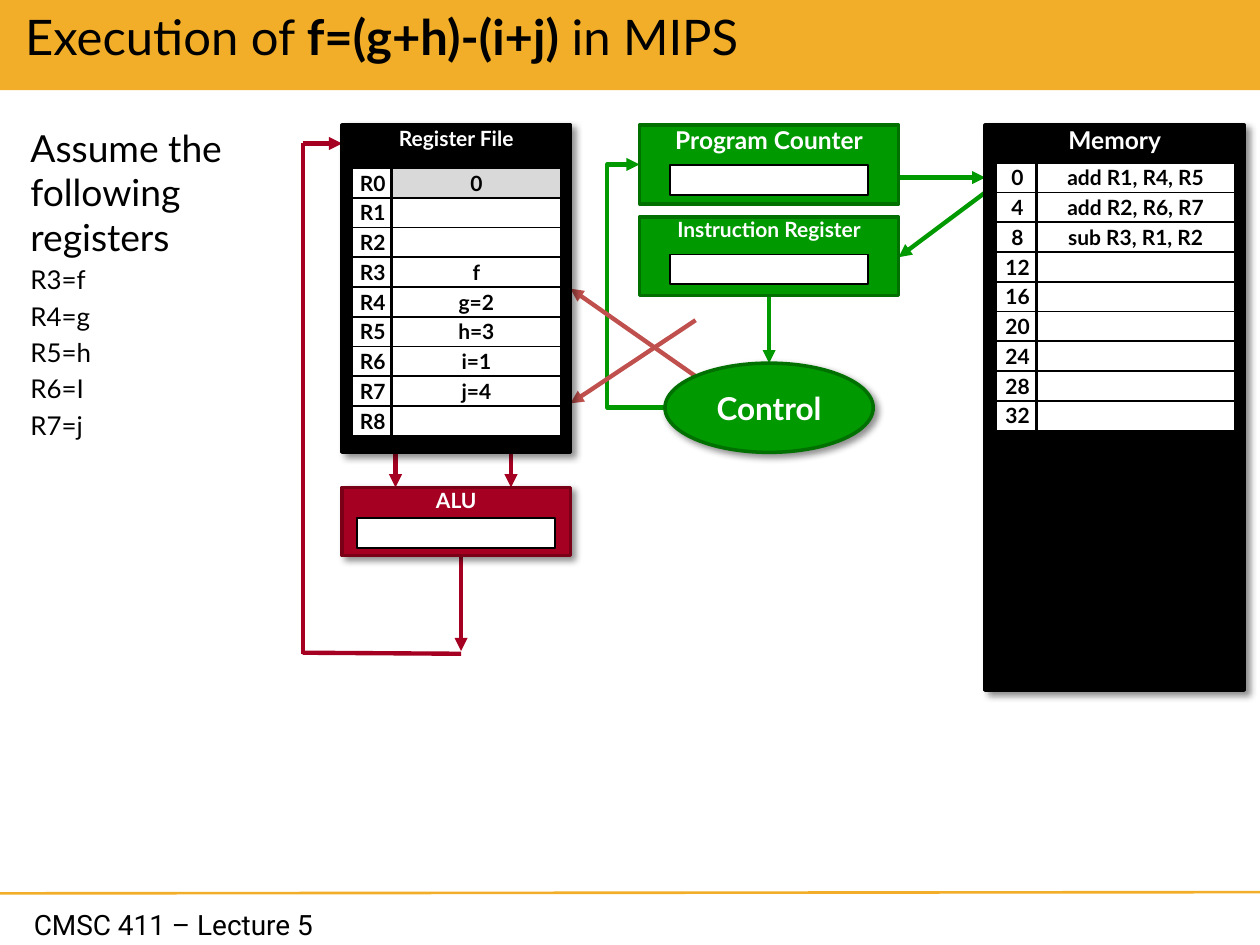
"""Build the slide tracing a MIPS expression through registers, ALU, control and memory."""
from dataclasses import dataclass

from lxml import etree
from pptx import Presentation
from pptx import util as u
from pptx.dml.color import RGBColor
from pptx.enum import shapes, text
from pptx.oxml.ns import qn


@dataclass(frozen=True)
class Theme:
    font: str = "Lato"
    footer_font: str = "Roboto"
    black: str = "000000"
    white: str = "FFFFFF"
    grey: str = "D9D9D9"
    gold: str = "F2AE29"
    green: str = "009900"
    dark_green: str = "007100"
    red: str = "A50021"
    dark_red: str = "7A0018"
    coral: str = "C0504D"
    title: float = 28
    lead: float = 21.3
    control: float = 18
    footer: float = 16
    item: float = 14.8
    heading: float = 14
    label: float = 12


THEME = Theme()


@dataclass(frozen=True)
class Box:
    left: float
    top: float
    width: float
    height: float

    def lengths(self) -> list:
        return [u.Pt(n) for n in (self.left, self.top, self.width, self.height)]


@dataclass(frozen=True)
class Unit:
    name: str
    box: Box
    fill: str
    line: str
    size: float = THEME.label
    shadow: bool = False
    oval: bool = False
    slot: Box | None = None


@dataclass(frozen=True)
class Arrow:
    start: tuple
    end: tuple
    color: str
    head: bool = True
    bend: int = 0
    width: float = 2.5


@dataclass(frozen=True)
class Store:
    left: float
    top: float
    value_width: float
    rows: tuple
    shaded: tuple = ()


ROW_HEIGHT, INDEX_WIDTH, VALUE_OFFSET = 17, 22.5, 23
SLOT_WIDTH = 113

UNITS = (
    Unit("Control", Box(380, 207.5, 119, 51), THEME.green, THEME.dark_green,
         THEME.control, shadow=True, oval=True),
    Unit("Register File", Box(195.5, 71.5, 130.5, 187), THEME.black, THEME.black, shadow=True),
    Unit("Memory", Box(563, 71.5, 148, 323), THEME.black, THEME.black,
         THEME.heading, shadow=True),
    Unit("Instruction Register", Box(365.5, 124, 148, 45), THEME.green, THEME.dark_green,
         slot=Box(383, 145.5, SLOT_WIDTH, ROW_HEIGHT)),
    Unit("Program Counter", Box(365.5, 71.5, 148, 45), THEME.green, THEME.dark_green,
         THEME.heading, slot=Box(383, 94.5, SLOT_WIDTH, ROW_HEIGHT)),
    Unit("ALU", Box(195.5, 278.5, 130.5, 39), THEME.red, THEME.dark_red, shadow=True,
         slot=Box(204, 296, SLOT_WIDTH, ROW_HEIGHT)),
)

ARROWS = (
    Arrow((0, 510.5), (720, 509.8), THEME.gold, head=False, width=1.5),
    Arrow((263.5, 373.6), (173, 373), THEME.red, head=False),
    Arrow((380, 233), (365.5, 94), THEME.green, bend=227000),
    Arrow((263.5, 307), (263.5, 372), THEME.red),
    Arrow((173, 82), (195.5, 82), THEME.red),
    Arrow((173, 82), (173, 373.6), THEME.red, head=False),
    Arrow((439.5, 169), (439.5, 207.5), THEME.green),
    Arrow((513.5, 101.5), (563, 101.5), THEME.green),
    Arrow((563, 110), (513.5, 147), THEME.green),
    Arrow((397.5, 183), (326, 230.5), THEME.coral),
    Arrow((397.5, 215), (326, 165), THEME.coral),
    Arrow((226, 258.5), (226, 278.5), THEME.red),
    Arrow((292, 258.5), (292, 278.5), THEME.red),
)

REGISTER_VALUES = ("0", "", "", "f", "g=2", "h=3", "i=1", "j=4", "")
INSTRUCTIONS = ("add R1, R4, R5", "add R2, R6, R7", "sub R3, R1, R2") + ("",) * 6
STORES = (
    Store(201, 96, 96.5, tuple((f"R{n}", v) for n, v in enumerate(REGISTER_VALUES)), (0,)),
    Store(569.5, 93, SLOT_WIDTH, tuple((str(4 * n), v) for n, v in enumerate(INSTRUCTIONS))),
)


def style(font, size: float, color: str, bold: bool = False, name: str = THEME.font) -> None:
    """Apply typeface, size, colour and weight to a font."""
    font.name, font.size, font.bold = name, u.Pt(size), bold
    font.color.rgb = RGBColor.from_string(color)


def set_frame(frame, anchor, insets: tuple, wrap: bool = True) -> None:
    """Set the anchor, insets and wrapping of a text frame."""
    frame.auto_size, frame.word_wrap = text.MSO_AUTO_SIZE.NONE, wrap
    frame.vertical_anchor = anchor
    (frame.margin_left, frame.margin_top,
     frame.margin_right, frame.margin_bottom) = [u.Pt(n) for n in insets]


def place(shape, box: Box) -> None:
    """Move and resize a shape to a box."""
    shape.left, shape.top, shape.width, shape.height = box.lengths()


def add_box(slide, box: Box, fill: str, line: str, weight: float = 1, oval: bool = False):
    """Draw a filled rectangle or ellipse."""
    kind = shapes.MSO_SHAPE.OVAL if oval else shapes.MSO_SHAPE.RECTANGLE
    shape = slide.shapes.add_shape(kind, *box.lengths())
    shape.shadow.inherit = False
    shape.fill.solid()
    shape.fill.fore_color.rgb = RGBColor.from_string(fill)
    shape.line.color.rgb = RGBColor.from_string(line)
    shape.line.width = u.Pt(weight)
    return shape


def add_label(shape, label: str, size: float, color: str) -> None:
    """Write a bold centred label in a shape."""
    paragraph = shape.text_frame.paragraphs[0]
    paragraph.text = label
    paragraph.alignment = text.PP_ALIGN.CENTER
    style(paragraph.runs[0].font, size, color, bold=True)


def add_shadow(shape) -> None:
    """Give a shape a soft shadow to its lower right."""
    effects = shape._element.spPr.find(qn("a:effectLst"))
    shadow = etree.SubElement(effects, qn("a:outerShdw"), blurRad=str(u.Pt(4)),
                              dist=str(u.Pt(3)), dir="2700000", algn="tl", rotWithShape="0")
    color = etree.SubElement(shadow, qn("a:srgbClr"), val=THEME.black)
    etree.SubElement(color, qn("a:alpha"), val="43000")


def add_unit(slide, unit: Unit) -> None:
    """Draw a processor unit with its name and optional value slot."""
    shape = add_box(slide, unit.box, unit.fill, unit.line, 2, unit.oval)
    anchor = text.MSO_ANCHOR.MIDDLE if unit.oval else text.MSO_ANCHOR.TOP
    set_frame(shape.text_frame, anchor, (7.2, 0, 7.2, 0))
    add_label(shape, unit.name, unit.size, THEME.white)
    if unit.shadow:
        add_shadow(shape)
    if unit.slot:
        add_box(slide, unit.slot, THEME.white, THEME.black)


def add_store(slide, store: Store) -> None:
    """Draw the index and value cells of a register file or memory."""
    for row, (index, value) in enumerate(store.rows):
        top = store.top + row * ROW_HEIGHT
        fill = THEME.grey if row in store.shaded else THEME.white
        cells = ((index, store.left, INDEX_WIDTH, THEME.white, (8.6, 0, 7.2, 0), False),
                 (value, store.left + VALUE_OFFSET, store.value_width, fill, (0,) * 4, True))
        for label, left, width, color, insets, wrap in cells:
            shape = add_box(slide, Box(left, top, width, ROW_HEIGHT), color, THEME.black)
            set_frame(shape.text_frame, text.MSO_ANCHOR.MIDDLE, insets, wrap)
            if label:
                add_label(shape, label, THEME.label, THEME.black)


def add_arrow(slide, arrow: Arrow) -> None:
    """Draw a straight or bent connector with an optional arrowhead."""
    kind = shapes.MSO_CONNECTOR.ELBOW if arrow.bend else shapes.MSO_CONNECTOR.STRAIGHT
    connector = slide.shapes.add_connector(kind, *[u.Pt(n) for n in arrow.start + arrow.end])
    connector.line.color.rgb = RGBColor.from_string(arrow.color)
    connector.line.width = u.Pt(arrow.width)
    properties = connector._element.spPr
    if arrow.head:
        etree.SubElement(properties.find(qn("a:ln")), qn("a:tailEnd"), type="triangle")
    if arrow.bend:
        adjustments = properties.find(qn("a:prstGeom")).find(qn("a:avLst"))
        etree.SubElement(adjustments, qn("a:gd"), name="adj1", fmla=f"val {arrow.bend}")
    etree.SubElement(properties, qn("a:effectLst"))


def fill_title(title) -> None:
    """Write the heading on its gold band."""
    place(title, Box(0, 0, 720, 51.5))
    title.fill.solid()
    title.fill.fore_color.rgb = RGBColor.from_string(THEME.gold)
    set_frame(title.text_frame, text.MSO_ANCHOR.TOP, (14.4, 3.6, 14.4, 0))
    paragraph = title.text_frame.paragraphs[0]
    paragraph.alignment = text.PP_ALIGN.LEFT
    for words, bold in (("Execution of ", False), ("f=(g+h)-(i+j)", True), (" in MIPS", False)):
        run = paragraph.add_run()
        run.text = words
        style(run.font, THEME.title, THEME.black, bold)


def fill_body(body) -> None:
    """Write the register assignments without bullets."""
    place(body, Box(3, 60.5, 158.5, 204))
    set_frame(body.text_frame, text.MSO_ANCHOR.TOP, (14.4, 10.8, 14.4, 10.8))
    body.text_frame.text = "\n".join(
        ("Assume the following registers", "R3=f", "R4=g", "R5=h", "R6=I", "R7=j"))
    for position, paragraph in enumerate(body.text_frame.paragraphs):
        properties = paragraph._p.get_or_add_pPr()
        properties.set("marL", "0")
        properties.set("indent", "0")
        etree.SubElement(properties, qn("a:buNone"))
        paragraph.space_before = u.Pt(3 if position else 0)
        style(paragraph.runs[0].font, THEME.item if position else THEME.lead, THEME.black)


def add_footer(slide) -> None:
    """Write the course name at the foot of the slide."""
    footer = slide.shapes.add_textbox(*Box(12.25, 515, 240, 26.5).lengths())
    set_frame(footer.text_frame, text.MSO_ANCHOR.TOP, (7.2, 3.6, 7.2, 3.6))
    footer.text_frame.text = "CMSC 411 – Lecture 5"
    run = footer.text_frame.paragraphs[0].runs[0]
    style(run.font, THEME.footer, THEME.black, name=THEME.footer_font)


def main() -> None:
    """Assemble and save the presentation."""
    presentation = Presentation()
    presentation.slide_width, presentation.slide_height = u.Pt(720), u.Pt(540)
    slide = presentation.slides.add_slide(presentation.slide_layouts[1])
    fill_title(slide.shapes.title)
    fill_body(slide.placeholders[1])
    add_footer(slide)
    for arrow in ARROWS:
        add_arrow(slide, arrow)
    for unit in UNITS:
        add_unit(slide, unit)
    for store in STORES:
        add_store(slide, store)
    presentation.save("out.pptx")


if __name__ == "__main__":
    main()
